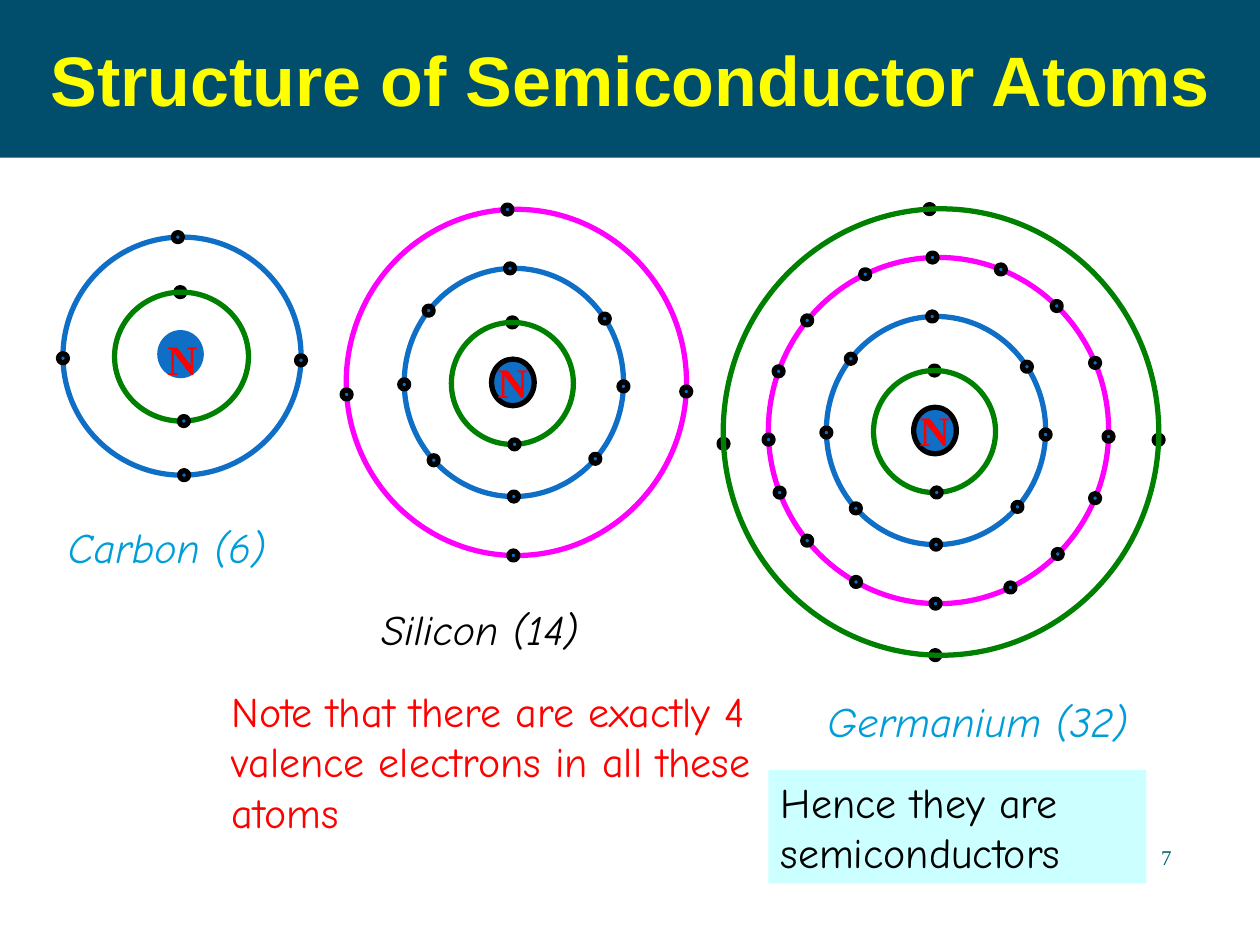
from dataclasses import dataclass
from math import cos, radians, sin

from pptx import Presentation
from pptx import util as u
from pptx.dml import color
from pptx.enum import shapes, text

COLOURS = {
    "header": "004E6C",
    "title": "FFFF00",
    "blue": "0F6FC6",
    "green": "008000",
    "magenta": "FF00FF",
    "black": "000000",
    "red": "FF0000",
    "caption": "009DD9",
    "panel": "CCFFFF",
    "number": "045D75",
}
ELECTRON_SIZE = 0.18


@dataclass(frozen=True)
class Shell:
    colour: str
    offset: tuple[float, float]
    radii: tuple[float, float]
    front: tuple[float, ...] = ()
    behind: tuple[float, ...] = ()


@dataclass(frozen=True)
class Caption:
    words: str
    left: float
    top: float
    width: float
    height: float = 1.27
    colour: str = "caption"
    font: str = "Comic Neue"
    size: int = 24
    bold: bool = False
    italic: bool = False
    align: text.PP_ALIGN = text.PP_ALIGN.LEFT
    anchor: text.MSO_ANCHOR = text.MSO_ANCHOR.TOP
    fill: str | None = None
    inset: bool = True


@dataclass(frozen=True)
class Atom:
    centre: tuple[float, float]
    nucleus: tuple[float, float]
    outlined: bool
    symbol_offset: tuple[float, float]
    shells: tuple[Shell, ...]
    caption: Caption


def rgb(name: str) -> color.RGBColor:
    return color.RGBColor.from_string(COLOURS[name])


def draw_ellipse(page, centre, size, fill: str | None, line: str | None) -> None:
    (x, y), (width, height) = centre, size
    ellipse = page.shapes.add_shape(
        shapes.MSO_SHAPE.OVAL,
        u.Cm(x - width / 2), u.Cm(y - height / 2), u.Cm(width), u.Cm(height),
    )
    ellipse.shadow.inherit = False
    if fill:
        ellipse.fill.solid()
        ellipse.fill.fore_color.rgb = rgb(fill)
    else:
        ellipse.fill.background()
    if line:
        ellipse.line.color.rgb = rgb(line)
        ellipse.line.width = u.Pt(3)
    else:
        ellipse.line.fill.background()


def draw_caption(page, caption: Caption) -> None:
    place = [u.Cm(n) for n in (caption.left, caption.top, caption.width, caption.height)]
    if caption.fill:
        box = page.shapes.add_shape(shapes.MSO_SHAPE.RECTANGLE, *place)
        box.shadow.inherit = False
        box.fill.solid()
        box.fill.fore_color.rgb = rgb(caption.fill)
        box.line.fill.background()
    else:
        box = page.shapes.add_textbox(*place)
    frame = box.text_frame
    frame.text = caption.words
    frame.word_wrap = True
    frame.vertical_anchor = caption.anchor
    if not caption.inset:
        frame.margin_left = frame.margin_right = 0
        frame.margin_top = frame.margin_bottom = 0
    para = frame.paragraphs[0]
    para.alignment = caption.align
    span = para.runs[0]
    span.font.name = caption.font
    span.font.size = u.Pt(caption.size)
    span.font.bold = caption.bold
    span.font.italic = caption.italic
    span.font.color.rgb = rgb(caption.colour)


def draw_electrons(page, centre, radii, angles: tuple[float, ...]) -> None:
    for angle in angles:
        turn = radians(angle)
        spot = (centre[0] + radii[0] * sin(turn), centre[1] - radii[1] * cos(turn))
        draw_ellipse(page, spot, (ELECTRON_SIZE, ELECTRON_SIZE), "blue", "black")


def draw_atom(page, atom: Atom) -> None:
    x, y = atom.centre
    for shell in atom.shells:
        centre = (x + shell.offset[0], y + shell.offset[1])
        draw_electrons(page, centre, shell.radii, shell.behind)
        draw_ellipse(page, centre, [2 * r for r in shell.radii], None, shell.colour)
        draw_electrons(page, centre, shell.radii, shell.front)
    draw_ellipse(page, atom.centre, atom.nucleus, "blue", "black" if atom.outlined else None)
    dx, dy = atom.symbol_offset
    draw_caption(page, Caption("N", x + dx, y + dy, 1.14, colour="red",
                               font="Times New Roman", bold=True))
    draw_caption(page, atom.caption)


FIRST = Shell("green", (-0.01, 0.02), (1.23, 1.23), (178,), (0,))
SECOND = Shell("blue", (0.02, 0), (2.21, 2.3), (358, 56, 92, 132, 180, 227, 269, 309))
SILICON_THIRD = Shell("magenta", (0.07, 0), (3.43, 3.49), (357, 93, 181, 266))
GERMANIUM_THIRD = Shell(
    "magenta", (0.07, 0), (3.43, 3.49),
    (358, 21.5, 44, 67, 92, 113, 135.5, 155, 181, 209, 230.5, 249, 267, 290, 309.5, 334.5),
)
GERMANIUM_FOURTH = Shell("green", (0.12, 0.03), (4.39, 4.5), behind=(357, 92, 181.5, 267))

ATOMS = (
    Atom((3.64, 7.14), (0.94, 0.97), False, (-0.52, -0.54),
         (Shell("blue", (0.03, 0.04), (2.4, 2.4), (358, 92, 179, 269)),
          Shell("green", (0.02, 0.05), (1.35, 1.3), (178,), (359,))),
         Caption("Carbon (6)", 1.12, 10.39, 5.13, italic=True)),
    Atom((10.34, 7.71), (0.86, 0.94), True, (-0.56, -0.65),
         (SECOND, FIRST, SILICON_THIRD),
         Caption("Silicon (14)", 7.44, 12.04, 5.72, colour="black", italic=True)),
    Atom((18.85, 8.68), (0.86, 0.94), True, (-0.56, -0.65),
         (SECOND, FIRST, GERMANIUM_THIRD, GERMANIUM_FOURTH),
         Caption("Germanium (32)", 16.43, 13.89, 7.09, italic=True)),
)

CAPTIONS = (
    Caption("7", 21.51, 16.51, 2.11, 1.02, "number", "Times New Roman", 12,
            align=text.PP_ALIGN.RIGHT, anchor=text.MSO_ANCHOR.BOTTOM, inset=False),
    Caption("Note that there are exactly 4 valence electrons in all these atoms",
            4.42, 13.69, 12.12, 3.3, "red"),
    Caption("Hence they are semiconductors", 15.49, 15.52, 7.62, 2.29, "black", fill="panel"),
    Caption("Structure of Semiconductor Atoms", 0, 0, 25.4, 3.18, "title", "Arial", 40,
            bold=True, align=text.PP_ALIGN.CENTER, anchor=text.MSO_ANCHOR.MIDDLE,
            fill="header"),
)


def main() -> None:
    deck = Presentation()
    deck.slide_width, deck.slide_height = u.Cm(25.4), u.Cm(19.05)
    page = deck.slides.add_slide(deck.slide_layouts[6])
    for atom in ATOMS:
        draw_atom(page, atom)
    for caption in CAPTIONS:
        draw_caption(page, caption)
    deck.save("out.pptx")


if __name__ == "__main__":
    main()
